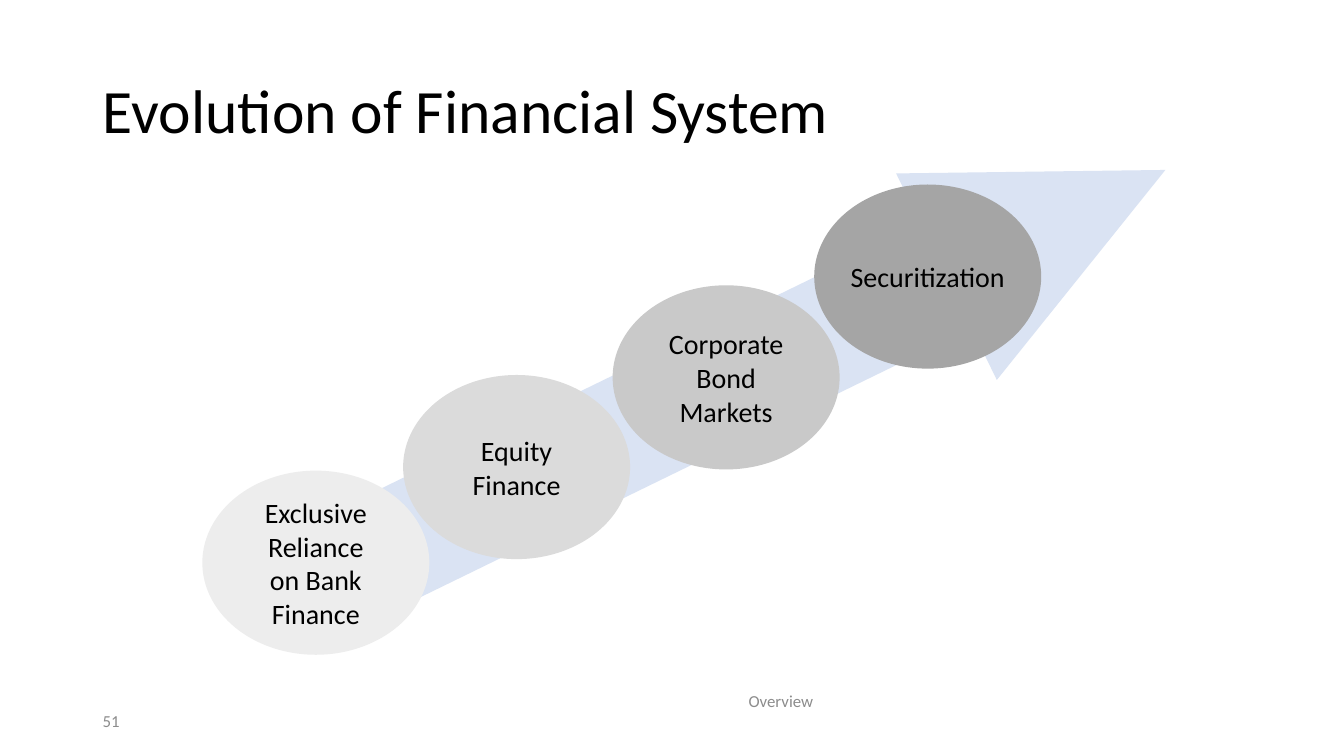
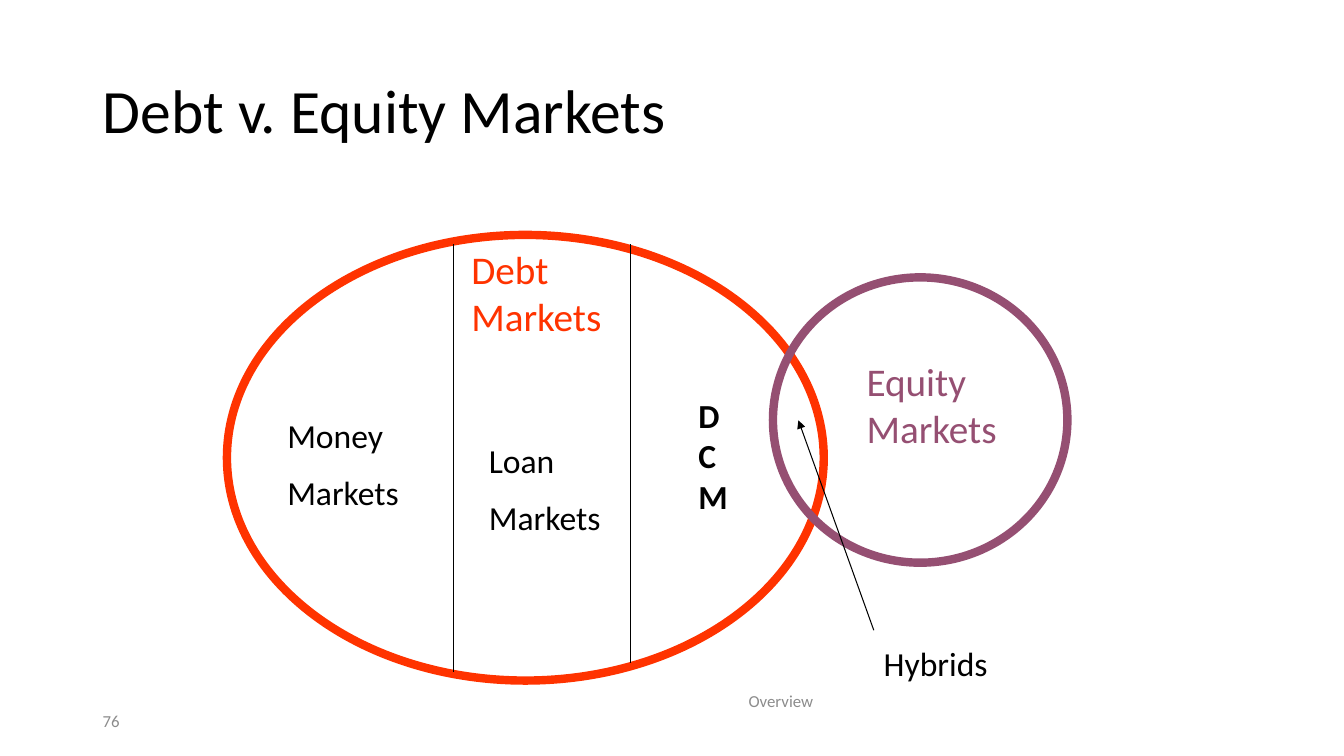
from pptx import Presentation
from pptx.dml.color import RGBColor
from pptx.enum.shapes import MSO_CONNECTOR, MSO_SHAPE
from pptx.enum.text import MSO_ANCHOR, MSO_AUTO_SIZE, PP_ALIGN
from pptx.oxml.ns import qn
from pptx.util import Cm, Pt
from lxml import etree

FONT = "Calibri"
BLACK = RGBColor(0x00, 0x00, 0x00)
GRAY = RGBColor(0x8C, 0x8C, 0x8C)
PALE = RGBColor(0xDA, 0xE3, 0xF3)
RED = RGBColor(0xFF, 0x33, 0x00)
PLUM = RGBColor(0x95, 0x4F, 0x72)
OVAL, ARROW = MSO_SHAPE.OVAL, MSO_SHAPE.RIGHT_ARROW
STRAIGHT = MSO_CONNECTOR.STRAIGHT
TOP, MIDDLE = MSO_ANCHOR.TOP, MSO_ANCHOR.MIDDLE
LEFT, CENTER = PP_ALIGN.LEFT, PP_ALIGN.CENTER
NO_FIT = MSO_AUTO_SIZE.NONE

# Content: all lengths in centimetres
TITLE_BOX = (2.34, 1.02, 29.21, 3.68)
NUMBER_BOX = (2.34, 17.65, 7.62, 1.02)
FOOTER_BOX = (9.75, 17.07, 19.86, 1.19)
FOOTER = "Overview"

STAGE_SIZE = (5.72, 4.64)
STAGES = [  # left, top, fill, lines
    (5.1, 11.86, RGBColor(0xED, 0xED, 0xED),
     ["Exclusive", "Reliance", "on Bank", "Finance"]),
    (10.16, 9.45, RGBColor(0xDB, 0xDB, 0xDB), ["Equity", "Finance"]),
    (15.44, 7.19, RGBColor(0xC9, 0xC9, 0xC9),
     ["Corporate", "Bond", "Markets"]),
    (20.52, 4.65, RGBColor(0xA5, 0xA5, 0xA5), ["Securitization"]),
]
TREND_BOX = (6.1, 6.76, 24.51, 5.79)

RINGS = [
    ((5.72, 5.92, 15.04, 11.23), RED),
    ((19.48, 6.99, 7.42, 7.19), PLUM),
]
SPLITS = [(11.43, 16.94), (15.88, 16.71)]  # x, bottom
SPLIT_TOP = 6.15
POINTER = (22.02, 15.88, 20.12, 10.59)
LABELS = [  # box, lines, size, colour, bold
    ((21.59, 8.89, 4.88, 2.62), ["Equity Markets"], 28, PLUM, False),
    ((11.63, 6.05, 4.65, 2.62), ["Debt Markets"], 28, RED, False),
    ((6.99, 10.34, 3.81, 2.82), ["Money", "Markets"], 24, BLACK, False),
    ((12.07, 10.97, 3.61, 2.82), ["Loan", "Markets"], 24, BLACK, False),
    ((17.35, 9.83, 1.27, 3.33), ["DCM"], 24, BLACK, True),
    ((22.02, 16.08, 3.38, 1.27), ["Hybrids"], 24, BLACK, False),
]


def cms(nums):
    return [Cm(n) for n in nums]


def write(frame, lines, size, color, align=LEFT, anchor=TOP,
          bold=False, gap=0, wrap=True):
    frame.word_wrap = wrap
    frame.auto_size = NO_FIT
    frame.vertical_anchor = anchor
    for i, line in enumerate(lines):
        para = frame.paragraphs[0] if i == 0 else frame.add_paragraph()
        para.text = line
        para.alignment = align
        para.space_before = Pt(gap if i else 0)
        font = para.font
        font.name, font.size, font.bold = FONT, Pt(size), bold
        font.color.rgb = color


def add_text(slide, box, *args, **style):
    write(slide.shapes.add_textbox(*cms(box)).text_frame, *args, **style)


def add_shape(slide, kind, box, fill=None, line=None):
    shape = slide.shapes.add_shape(kind, *cms(box))
    shape.shadow.inherit = False
    if fill is None:
        shape.fill.background()
    else:
        shape.fill.solid()
        shape.fill.fore_color.rgb = fill
    if line is None:
        shape.line.fill.background()
    else:
        shape.line.color.rgb = line
        shape.line.width = Pt(6)
    return shape


def add_line(slide, ends, head=False):
    link = slide.shapes.add_connector(STRAIGHT, *cms(ends))
    link.line.color.rgb = BLACK
    link.line.width = Pt(0.75)
    props = link._element.spPr
    if head:
        etree.SubElement(props.find(qn("a:ln")), qn("a:tailEnd"),
                         type="triangle")
    etree.SubElement(props, qn("a:effectLst"))


def add_slide(deck, title, number):
    slide = deck.slides.add_slide(deck.slide_layouts[5])
    head = slide.shapes.title
    head.left, head.top, head.width, head.height = cms(TITLE_BOX)
    write(head.text_frame, [title], 44, BLACK, anchor=MIDDLE)
    head.text_frame.paragraphs[0].line_spacing = 0.9
    add_text(slide, NUMBER_BOX, [number], 12, GRAY, anchor=MIDDLE)
    add_text(slide, FOOTER_BOX, [FOOTER], 12, GRAY, CENTER, MIDDLE)
    return slide


def add_stages(deck):
    slide = add_slide(deck, "Evolution of Financial System", "51")
    trend = add_shape(slide, ARROW, TREND_BOX, PALE)
    trend.adjustments[0], trend.adjustments[1] = 0.5, 1.06
    trend.rotation = 334
    for left, top, fill, lines in STAGES:
        stage = add_shape(slide, OVAL, (left, top, *STAGE_SIZE), fill)
        write(stage.text_frame, lines, 20, BLACK, CENTER, MIDDLE, wrap=False)


def add_markets(deck):
    slide = add_slide(deck, "Debt v. Equity Markets", "76")
    for box, color in RINGS:
        add_shape(slide, OVAL, box, line=color)
    for x, bottom in SPLITS:
        add_line(slide, (x, SPLIT_TOP, x, bottom))
    for box, lines, size, color, bold in LABELS:
        add_text(slide, box, lines, size, color, bold=bold, gap=size / 2)
    add_line(slide, POINTER, head=True)


def main():
    deck = Presentation()
    deck.slide_width, deck.slide_height = Cm(33.87), Cm(19.05)
    add_stages(deck)
    add_markets(deck)
    deck.save("out.pptx")


if __name__ == "__main__":
    main()
